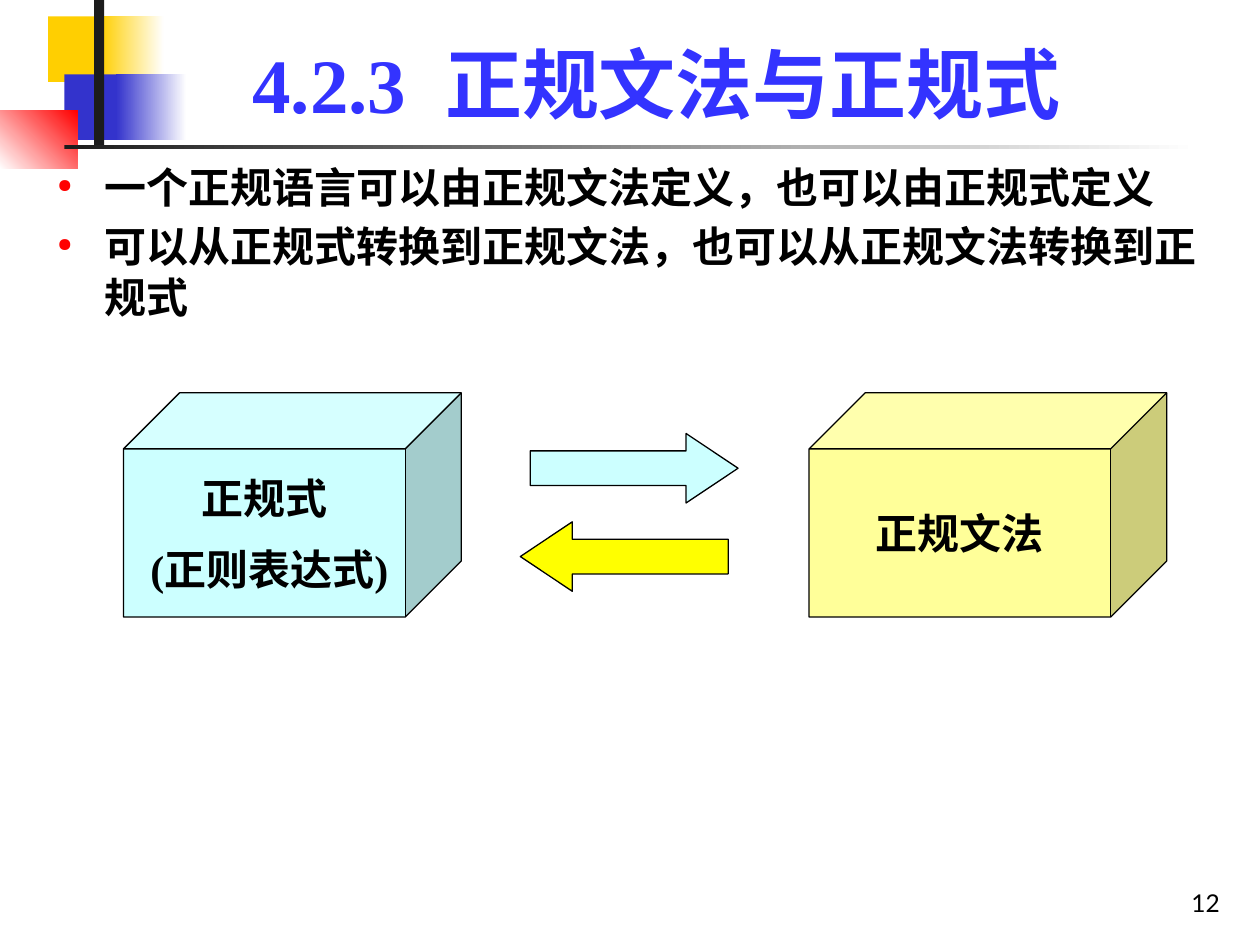
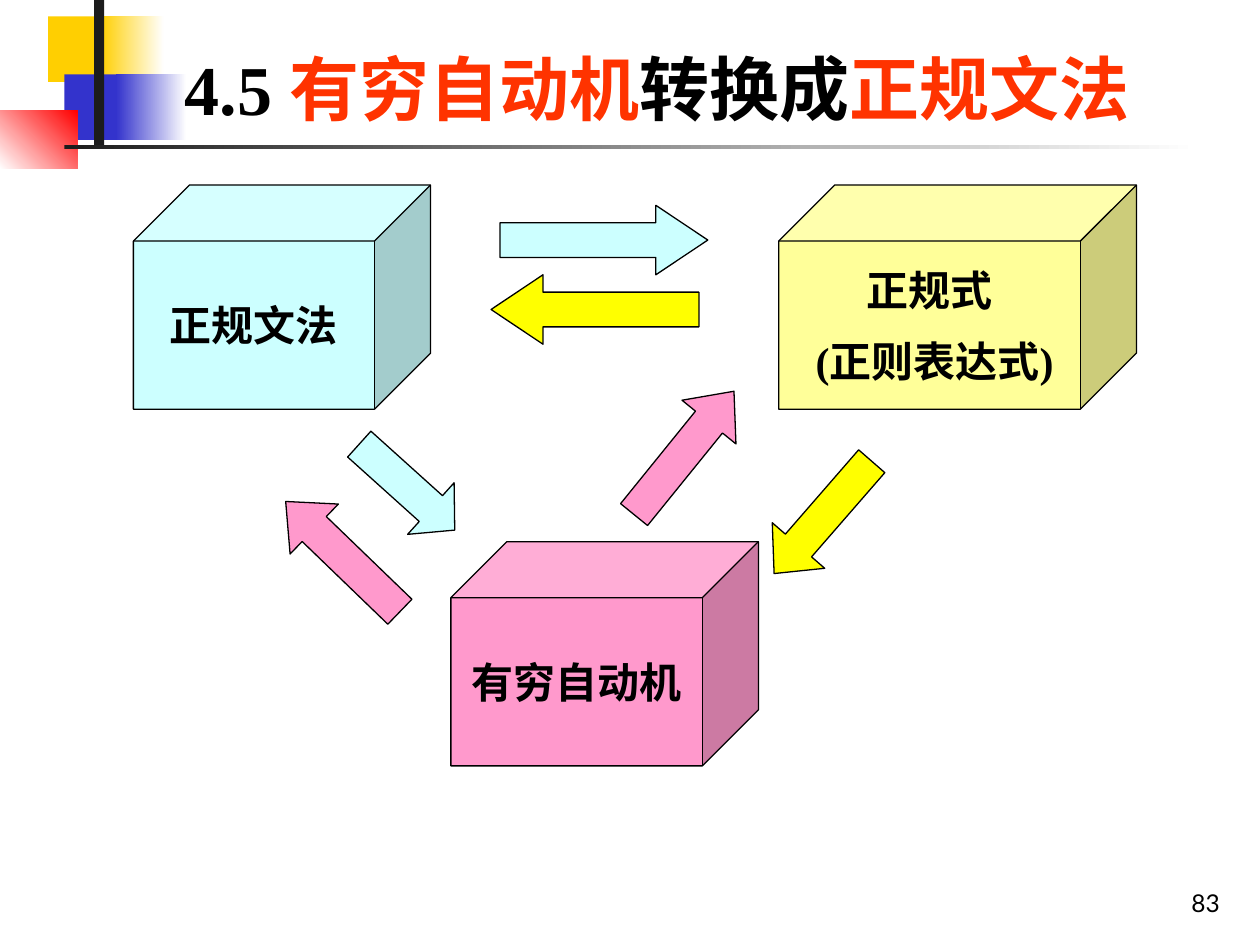
"""Build two slides on regular grammars, expressions and automata."""
import collections

import pptx
import pptx.dml.color
import pptx.enum.shapes
import pptx.enum.text
import pptx.oxml
import pptx.util

Cm = pptx.util.Cm
Pt = pptx.util.Pt
KIND = pptx.enum.shapes.MSO_SHAPE
ALIGN = pptx.enum.text.PP_ALIGN
ANCHOR = pptx.enum.text.MSO_ANCHOR


class Theme:
    """Colours, fonts and sizes of the deck."""
    black, white, dark = "000000", "FFFFFF", "1C1C1C"
    gold, navy, red = "FFCF01", "3333CC", "FF0000"
    blue, orange = "3333FF", "FF3300"
    cyan, cream, pink, yellow = "CCFFFF", "FFFF99", "FF99CC", "FFFF00"
    serif, sans = "Times New Roman", "Lato"
    title, topic, body, page = 44, 40, 24, 14
    line = 0.75
    cube, arrow = 4.52, 1.4


class Box(collections.namedtuple("Box", "x y w h")):
    """A region in centimetres."""

    def sub(self, x, y, w, h):
        """Return a box placed relative to this one."""
        return Box(self.x + x, self.y + y, w, h)

    def emu(self):
        """Return the four lengths for python-pptx."""
        return [Cm(v) for v in self]


PAGE = Box(0, 0, 25.4, 19.05)
TITLE = Box(3.2, 0.6, 20.09, 2.13)
BODY = Box(0.91, 3.14, 23.6, 13.92)
FOOT = Box(19.56, 17.35, 5.28, 1.27)
TERMS = ["正规式", "(正则表达式)"]


def rgb(code):
    """Turn a hex code into a colour."""
    return pptx.dml.color.RGBColor.from_string(code)


def write(frame, paras, size=Theme.body, font=Theme.serif, bold=True,
          align=ALIGN.CENTER, anchor=ANCHOR.MIDDLE, wrap=True,
          gap=0, bullet=None, shift=0):
    """Fill a frame; each paragraph is a string or a list of (text, colour, spacing)."""
    frame.word_wrap = wrap
    frame.vertical_anchor = anchor
    for i, runs in enumerate(paras):
        para = frame.add_paragraph() if i else frame.paragraphs[0]
        para.alignment = align
        if i:
            para.space_before = Pt(gap)
        if bullet:
            mark(para, bullet)
        elif i and shift:
            para._p.get_or_add_pPr().set("indent", str(Cm(shift)))
        if isinstance(runs, str):
            runs = [(runs, Theme.black, 0)]
        for text, tint, space in runs:
            run = para.add_run()
            run.text = text
            run.font.size, run.font.name, run.font.bold = Pt(size), font, bold
            run.font.color.rgb = rgb(tint)
            if space:
                run._r.get_or_add_rPr().set("spc", str(space * 100))


def mark(para, tint):
    """Give a paragraph a round bullet and a hanging indent."""
    props = para._p.get_or_add_pPr()
    props.set("marL", str(Cm(0.95)))
    props.set("indent", str(-Cm(0.95)))
    space = 'xmlns:a="http://schemas.openxmlformats.org/drawingml/2006/main"'
    for item in (f'<a:buClr {space}><a:srgbClr val="{tint}"/></a:buClr>',
                 f'<a:buSzPct {space} val="45000"/>',
                 f'<a:buChar {space} char="●"/>'):
        props.append(pptx.oxml.parse_xml(item))


def label(slide, box, paras, **style):
    """Add a text box."""
    write(slide.shapes.add_textbox(*box.emu()).text_frame, paras, **style)


def form(slide, kind, box, fill, line=None, end=None, angle=0):
    """Add a preset shape with a plain fill, or a gradient when end is given."""
    shape = slide.shapes.add_shape(kind, *box.emu())
    shape.shadow.inherit = False
    if end:
        shape.fill.gradient()
        shape.fill.gradient_angle = angle
        for stop, tint, place in zip(shape.fill.gradient_stops, (fill, end), (0, 1)):
            stop.color.rgb, stop.position = rgb(tint), place
    else:
        shape.fill.solid()
        shape.fill.fore_color.rgb = rgb(fill)
    if line:
        shape.line.color.rgb, shape.line.width = rgb(line), Pt(Theme.line)
    else:
        shape.line.fill.background()
    return shape


def cube(slide, box, fill, paras):
    """Add a labelled cube whose text may use the whole front face."""
    shape = form(slide, KIND.CUBE, box, fill, Theme.black)
    frame = shape.text_frame
    frame.margin_left = frame.margin_right = 0
    write(frame, paras, wrap=False, gap=12, shift=0.2)


def arrow(slide, box, fill, kind=KIND.RIGHT_ARROW, turn=0):
    """Add a block arrow whose head takes a quarter of its length."""
    shape = form(slide, kind, box, fill, Theme.black)
    shape.adjustments[1] = box.w / box.h / 4
    shape.rotation = turn


def pair(slide, box, x, y, drop, back):
    """Add two opposed level arrows, the lower one set back to the left."""
    arrow(slide, box.sub(x, y, 4.19, Theme.arrow), Theme.cyan)
    arrow(slide, box.sub(x - back, y + drop, 4.19, Theme.arrow),
          Theme.yellow, KIND.LEFT_ARROW)


def band(slide, box):
    """Draw the coloured squares and rules at the top."""
    t = Theme
    parts = [((0.97, 0.33, 1.7, 1.32), t.gold, None, 0),
             ((2.03, 0.33, 1.27, 1.32), t.gold, t.white, 0),
             ((1.3, 1.5, 1.63, 1.32), t.navy, None, 0),
             ((2.34, 1.5, 1.42, 1.32), t.navy, t.white, 0),
             ((0, 2.23, 1.56, 1.17), t.white, t.red, 45),
             ((1.9, 0, 0.2, 2.92), t.dark, None, 0),
             ((1.3, 2.92, 22.86, 0.08), t.dark, t.white, 0)]
    for place, fill, end, angle in parts:
        form(slide, KIND.RECTANGLE, box.sub(*place), fill, end=end, angle=angle)


def base(deck, title, size, page):
    """Add a slide with its band, title and page number."""
    slide = deck.slides.add_slide(deck.slide_layouts[6])
    band(slide, PAGE)
    label(slide, FOOT, [page], size=Theme.page, font=Theme.sans, bold=False,
          align=ALIGN.RIGHT, anchor=ANCHOR.BOTTOM)
    label(slide, TITLE, [title], size=size, anchor=ANCHOR.BOTTOM)
    return slide


def duo(slide, box):
    """Draw the expression and grammar cubes with arrows between."""
    cube(slide, box.sub(0, 0, 6.81, Theme.cube), Theme.cyan, TERMS)
    cube(slide, box.sub(13.82, 0, 7.21, Theme.cube), Theme.cream, ["正规文法"])
    pair(slide, box, 8.2, 0.82, 1.78, 0.2)


def trio(slide, box):
    """Draw the three cubes and the arrows joining them."""
    t = Theme
    cube(slide, box.sub(0, 0, 5.99, t.cube), t.cyan, ["正规文法"])
    cube(slide, box.sub(13.01, 0, 7.21, t.cube), t.cream, TERMS)
    pair(slide, box, 7.39, 0.41, 1.4, 0.18)
    cube(slide, box.sub(6.4, 7.19, 6.2, t.cube), t.pink, ["有穷自动机"])
    for x, y, w, fill, kind, turn in (
            (9.5, 4.7, 3.2, t.pink, KIND.RIGHT_ARROW, 309),
            (12.4, 6, 3, t.yellow, KIND.LEFT_ARROW, 311),
            (4.22, 5.39, 2.59, t.cyan, KIND.RIGHT_ARROW, 42),
            (2.62, 6.79, 3.2, t.pink, KIND.RIGHT_ARROW, 224)):
        arrow(slide, box.sub(x, y, w, t.arrow), fill, kind, turn)


def main():
    """Build and save the deck."""
    t = Theme
    deck = pptx.Presentation()
    deck.slide_width, deck.slide_height = Cm(PAGE.w), Cm(PAGE.h)

    slide = base(deck, [("4.2.3", t.blue, 0), (" ", t.blue, 11),
                        ("正规文法与正规式", t.blue, 0)], t.title, "12")
    label(slide, BODY, ["一个正规语言可以由正规文法定义，也可以由正规式定义",
                        "可以从正规式转换到正规文法，也可以从正规文法转换到正规式"],
          align=ALIGN.LEFT, anchor=ANCHOR.TOP, gap=4.8, bullet=t.red)
    duo(slide, Box(2.49, 7.92, 21.03, 4.52))

    slide = base(deck, [("4.5 ", t.black, 0), ("有穷自动机", t.orange, 0),
                        ("转换成", t.black, 0), ("正规文法", t.orange, 0)],
                 t.topic, "83")
    trio(slide, Box(2.69, 3.73, 20.22, 11.71))
    deck.save("out.pptx")


if __name__ == "__main__":
    main()
